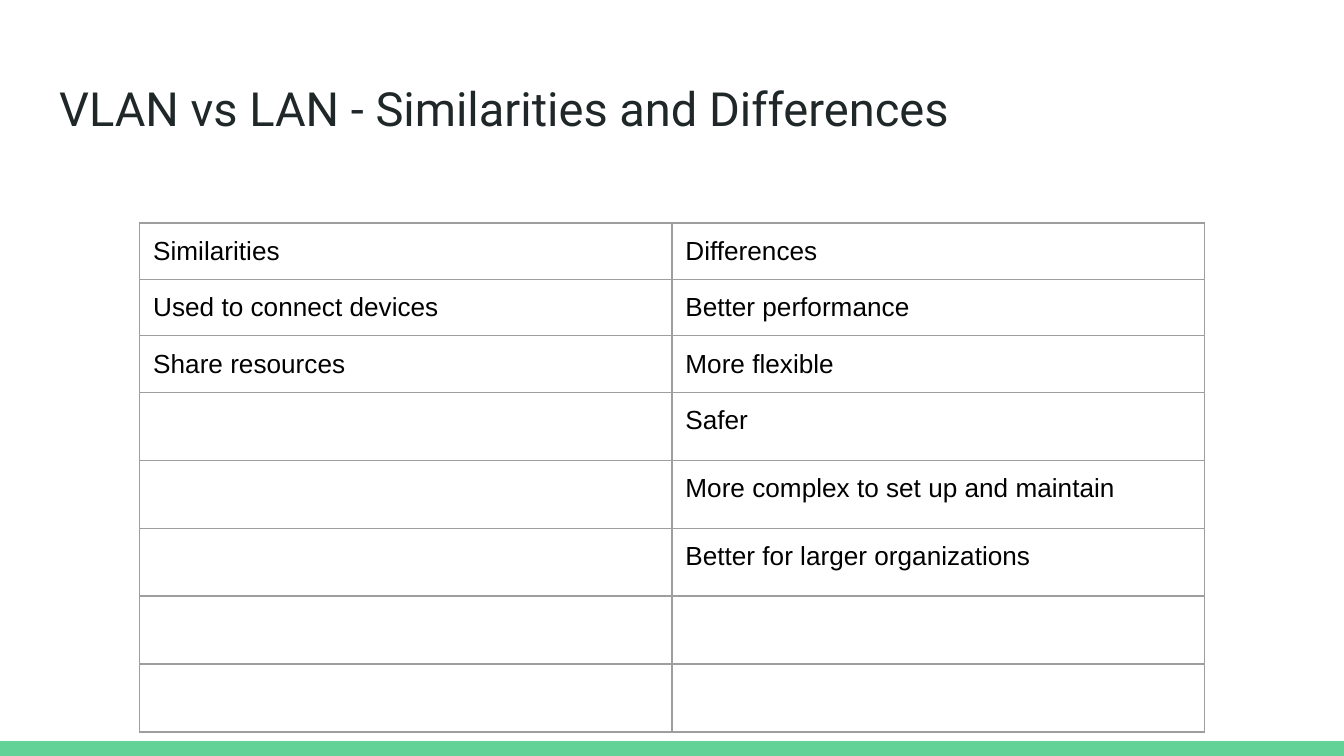
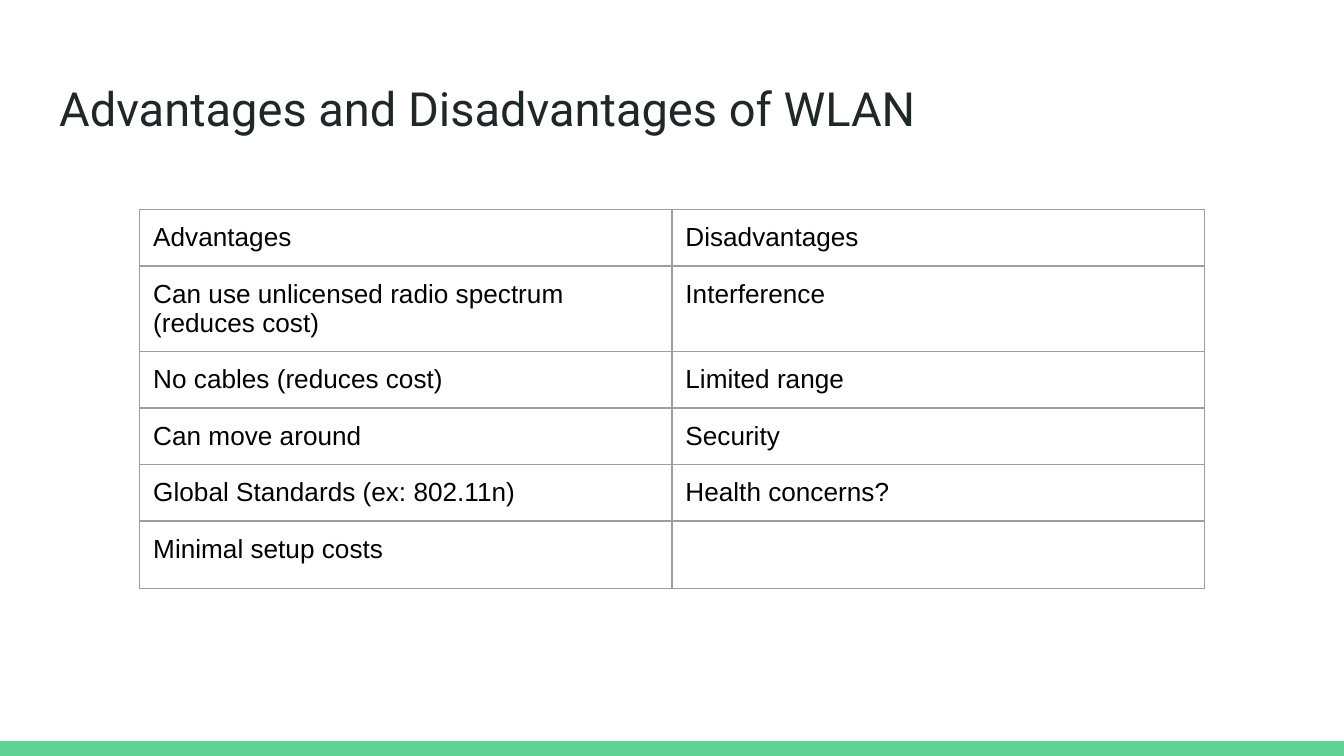
from dataclasses import dataclass

import pptx
import pptx.dml.color
import pptx.enum.shapes
import pptx.enum.text
import pptx.oxml
import pptx.oxml.ns
import pptx.presentation
import pptx.slide
import pptx.table
import pptx.text.text
import pptx.util
from pptx.util import Inches


@dataclass(frozen=True)
class Theme:
    title_font: str = "Roboto"
    body_font: str = "Arial"
    title_size: float = 25.2
    body_size: float = 14
    title_color: str = "202729"
    body_color: str = "000000"
    background: str = "FFFFFF"
    band: str = "63D297"
    grid: str = "9E9E9E"
    grid_width: float = 0.75


@dataclass(frozen=True)
class Comparison:
    title: str
    table_top: float
    rows: tuple[tuple[str, str], ...]


THEME = Theme()
PAGE_WIDTH, PAGE_HEIGHT = Inches(10), Inches(5.625)
BAND_HEIGHT = Inches(0.11)
TITLE_LEFT, TITLE_TOP, TITLE_HEIGHT = Inches(0.34), Inches(0.49), Inches(0.63)
TABLE_LEFT = Inches(1.04)
COLUMN_WIDTH, ROW_HEIGHT = Inches(3.96), Inches(0.42)
INSET = Inches(0.1)
TITLE_ONLY_LAYOUT = 5

COMPARISONS = (
    Comparison("VLAN vs LAN - Similarities and Differences", 1.66, (
        ("Similarities", "Differences"),
        ("Used to connect devices", "Better performance"),
        ("Share resources", "More flexible"),
        ("", "Safer"),
        ("", "More complex to set up and maintain"),
        ("", "Better for larger organizations"),
        ("", ""),
        ("", ""),
    )),
    Comparison("Advantages and Disadvantages of WLAN", 1.56, (
        ("Advantages", "Disadvantages"),
        ("Can use unlicensed radio spectrum (reduces cost)", "Interference"),
        ("No cables (reduces cost)", "Limited range"),
        ("Can move around", "Security"),
        ("Global Standards (ex: 802.11n)", "Health concerns?"),
        ("Minimal setup costs", ""),
    )),
)


def rgb(color: str) -> pptx.dml.color.RGBColor:
    return pptx.dml.color.RGBColor.from_string(color)


def format_text(para: pptx.text.text._Paragraph, font: str, size: float, color: str) -> None:
    para.alignment = pptx.enum.text.PP_ALIGN.LEFT
    for span in para.runs:
        span.font.name = font
        span.font.size = pptx.util.Pt(size)
        span.font.color.rgb = rgb(color)


def set_insets(holder: pptx.table._Cell | pptx.text.text.TextFrame) -> None:
    holder.margin_left = holder.margin_right = INSET
    holder.margin_top = holder.margin_bottom = INSET


def add_band(page: pptx.slide.Slide) -> None:
    band = page.shapes.add_shape(
        pptx.enum.shapes.MSO_SHAPE.RECTANGLE,
        0, PAGE_HEIGHT - BAND_HEIGHT, PAGE_WIDTH, BAND_HEIGHT)
    band.shadow.inherit = False
    band.fill.solid()
    band.fill.fore_color.rgb = rgb(THEME.band)
    band.line.fill.background()


def set_title(page: pptx.slide.Slide, text: str) -> None:
    box = page.shapes.title
    box.left, box.top = TITLE_LEFT, TITLE_TOP
    box.width, box.height = PAGE_WIDTH - 2 * TITLE_LEFT, TITLE_HEIGHT
    frame = box.text_frame
    frame.text = text
    frame.word_wrap = True
    frame.auto_size = pptx.enum.text.MSO_AUTO_SIZE.NONE
    frame.vertical_anchor = pptx.enum.text.MSO_ANCHOR.MIDDLE
    set_insets(frame)
    format_text(frame.paragraphs[0], THEME.title_font, THEME.title_size, THEME.title_color)


def add_borders(cell: pptx.table._Cell) -> None:
    properties = cell._tc.get_or_add_tcPr()
    for position, side in enumerate("LRTB"):
        properties.insert(position, pptx.oxml.parse_xml(
            f'<a:ln{side} {pptx.oxml.ns.nsdecls("a")} w="{pptx.util.Pt(THEME.grid_width)}">'
            f'<a:solidFill><a:srgbClr val="{THEME.grid}"/></a:solidFill></a:ln{side}>'))


def fill_cell(cell: pptx.table._Cell, text: str) -> None:
    cell.fill.background()
    add_borders(cell)
    set_insets(cell)
    if text:
        cell.text_frame.text = text
        format_text(cell.text_frame.paragraphs[0],
                    THEME.body_font, THEME.body_size, THEME.body_color)


def add_comparison_table(page: pptx.slide.Slide, comparison: Comparison) -> None:
    row_count, column_count = len(comparison.rows), len(comparison.rows[0])
    table = page.shapes.add_table(
        row_count, column_count, TABLE_LEFT, Inches(comparison.table_top),
        column_count * COLUMN_WIDTH, row_count * ROW_HEIGHT).table
    table.first_row = table.horz_banding = False
    for row_index, row in enumerate(comparison.rows):
        for column_index, text in enumerate(row):
            fill_cell(table.cell(row_index, column_index), text)


def add_page(deck: pptx.presentation.Presentation, comparison: Comparison) -> None:
    page = deck.slides.add_slide(deck.slide_layouts[TITLE_ONLY_LAYOUT])
    page.background.fill.solid()
    page.background.fill.fore_color.rgb = rgb(THEME.background)
    add_band(page)
    set_title(page, comparison.title)
    add_comparison_table(page, comparison)


def main() -> None:
    deck = pptx.Presentation()
    deck.slide_width, deck.slide_height = PAGE_WIDTH, PAGE_HEIGHT
    for comparison in COMPARISONS:
        add_page(deck, comparison)
    deck.save("out.pptx")


if __name__ == "__main__":
    main()
